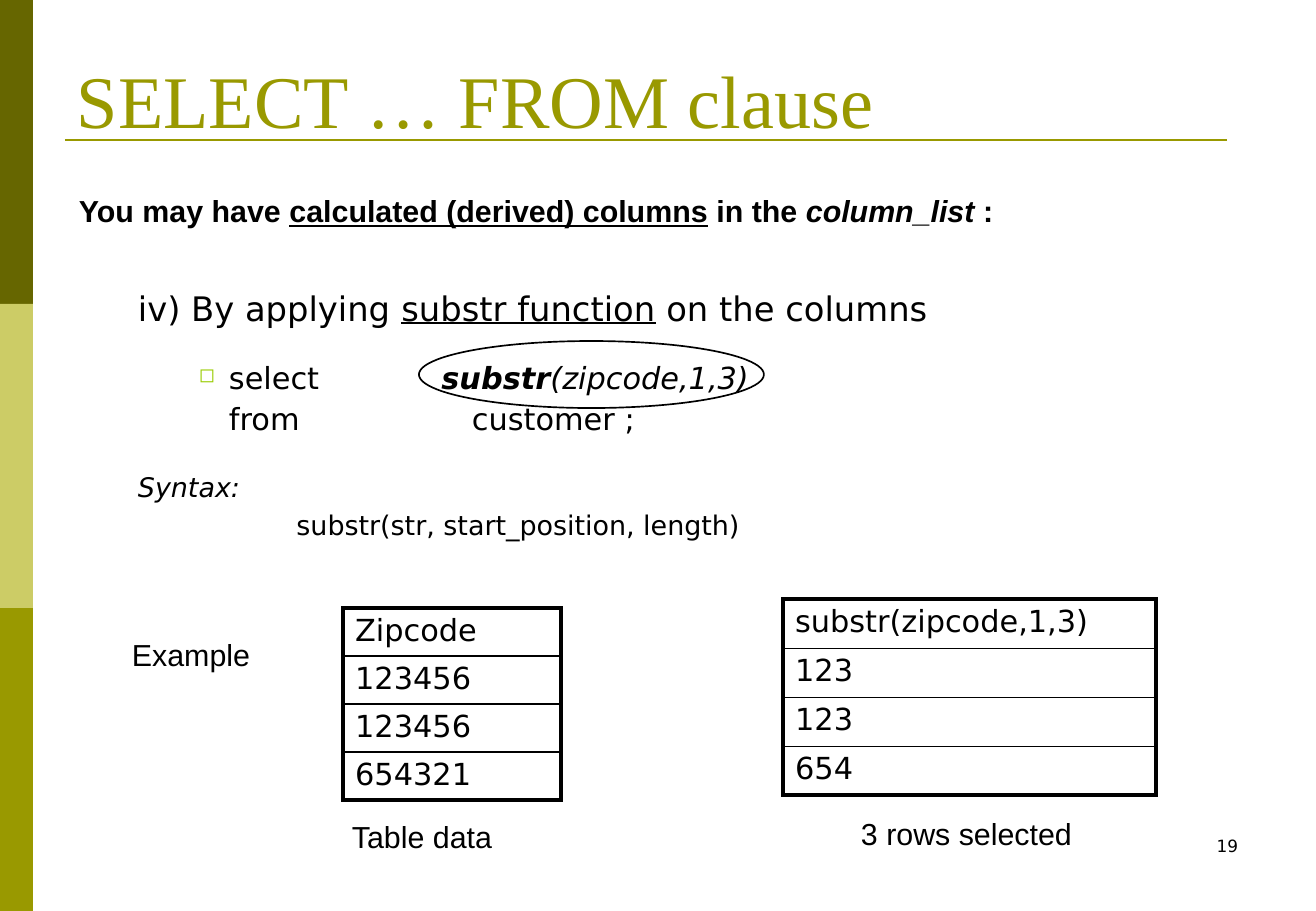
from lxml import etree
from pptx import Presentation
from pptx.dml.color import RGBColor
from pptx.enum.shapes import MSO_CONNECTOR, MSO_SHAPE
from pptx.enum.text import MSO_ANCHOR, PP_ALIGN
from pptx.oxml.ns import qn
from pptx.util import Pt

PX = 7526  # EMU in one px
LINE, RECT, OVAL = MSO_CONNECTOR.STRAIGHT, MSO_SHAPE.RECTANGLE, MSO_SHAPE.OVAL
TOP, BOTTOM = MSO_ANCHOR.TOP, MSO_ANCHOR.BOTTOM
LEFT, RIGHT = PP_ALIGN.LEFT, PP_ALIGN.RIGHT
SANS, ARIAL, SERIF = "DejaVu Sans", "Arial", "Times New Roman"
HEX = {"olive": "999900", "dark": "666600", "light": "CCCC66",
       "lime": "99CC00", "black": "000000"}

# Content
BANDS = ["dark", "light", "olive"]
TITLE = "SELECT … FROM clause"
INTRO = [("You may have ", "b"), ("calculated (derived) columns", "bu"),
         (" in the ", "b"), ("column_list", "bi"), (" :", "b")]
# runs, size, space before (pt), left margin, first indent, bullet
BODY = [
    ([("iv) By applying ", ""), ("substr function", "u"),
      (" on the columns", "")], 20, 0, 98, -37, ""),
    ([("select \t\t", ""), ("substr", "bi"), ("(zipcode,1,3)", "i")],
     18, 18, 152, -30, "◻"),
    ([("\tfrom \t\t\tcustomer ;", "")], 18, 3, 152, -30, ""),
    ([("Syntax:", "i")], 16, 20, 98, -37, ""),
    ([("\t\t\tsubstr(str, start_position, length)", "")], 16, 3, 98, -37, ""),
]
# left, top, width, row height, inner line (pt), values
TABLES = [
    (343, 608, 218, 48, 1, ["Zipcode", "123456", "123456", "654321"]),
    (783, 599, 373, 49, 0.25, ["substr(zipcode,1,3)", "123", "123", "654"]),
]
LABELS = [("Table data", 340, 812, 190), ("3 rows selected", 849, 809, 260),
          ("Example", 120, 630, 170)]

prs = Presentation()
prs.slide_width, prs.slide_height = 1316 * PX, 911 * PX
slide = prs.slides.add_slide(prs.slide_layouts[6])
shapes = slide.shapes


def rgb(name):
    return RGBColor.from_string(HEX[name])


def place(*box):
    return [n * PX for n in box]


def style(para, size, face, tint="black"):
    font = para.font
    font.size, font.name = Pt(size), face
    font.color.rgb = rgb(tint)


def write(para, runs):
    for words, marks in runs:
        run = para.add_run()
        run.text = words
        for mark, name in (("b", "bold"), ("i", "italic"), ("u", "underline")):
            if mark in marks:
                setattr(run.font, name, True)


def frame(box, anchor=TOP):
    text = shapes.add_textbox(*place(*box)).text_frame
    text.word_wrap, text.vertical_anchor = True, anchor
    return text


def label(box, runs, size, face, tint="black", anchor=TOP, align=LEFT):
    para = frame(box, anchor).paragraphs[0]
    para.alignment = align
    style(para, size, face, tint)
    write(para, runs)


def bullet(props, mark):
    if not mark:
        etree.SubElement(props, qn("a:buNone"))
        return
    tint = etree.SubElement(props, qn("a:buClr"))
    etree.SubElement(tint, qn("a:srgbClr"), val=HEX["lime"])
    etree.SubElement(props, qn("a:buSzPct"), val="65000")
    etree.SubElement(props, qn("a:buChar"), char=mark)


def border(cell, widths):
    props = cell._tc.get_or_add_tcPr()
    for side, width in zip("LRTB", widths):
        line = etree.SubElement(props, qn("a:ln" + side), w=str(Pt(width)))
        fill = etree.SubElement(line, qn("a:solidFill"))
        etree.SubElement(fill, qn("a:srgbClr"), val=HEX["black"])


# Side bands and title rule
for i, tint in enumerate(BANDS):
    band = shapes.add_shape(RECT, *place(0, i * 304, 33, 304))
    band.shadow.inherit = False
    band.fill.solid()
    band.fill.fore_color.rgb = rgb(tint)
    band.line.fill.background()
rule = shapes.add_connector(LINE, *place(65, 140, 1227, 140))
rule.line.color.rgb, rule.line.width = rgb("olive"), Pt(1.5)
etree.SubElement(rule._element.spPr, qn("a:effectLst"))

# Title, intro and page number
label((65, 34, 1185, 115), [(TITLE, "")], 44, SERIF, "olive", BOTTOM)
label((67, 186, 1121, 49), INTRO, 18, ARIAL)
label((943, 830, 307, 61), [("19", "")], 10, SANS, align=RIGHT)

# Body
text = frame((65, 282, 1225, 270))
for i, (runs, size, gap, left, indent, mark) in enumerate(BODY):
    para = text.add_paragraph() if i else text.paragraphs[0]
    para.space_before = Pt(gap)
    props = para._p.get_or_add_pPr()
    props.set("marL", str(left * PX))
    props.set("indent", str(indent * PX))
    bullet(props, mark)
    style(para, size, SANS)
    write(para, runs)

# Ring around the function call
ring = shapes.add_shape(OVAL, *place(419, 341, 345, 67))
ring.shadow.inherit = False
ring.fill.background()
ring.line.color.rgb, ring.line.width = rgb("black"), Pt(1)

# Tables
for left, top, width, high, inner, values in TABLES:
    count = len(values)
    grid = shapes.add_table(
        count, 1, *place(left, top, width, high * count)).table
    grid.first_row = grid.horz_banding = False
    for i, value in enumerate(values):
        cell = grid.cell(i, 0)
        cell.margin_top = cell.margin_bottom = 5 * PX
        border(cell, (2.25, 2.25, inner if i else 2.25,
                      inner if i < count - 1 else 2.25))
        cell.fill.background()
        para = cell.text_frame.paragraphs[0]
        style(para, 18, SANS)
        write(para, [(value, "")])

# Labels
for words, left, top, width in LABELS:
    label((left, top, width, 49), [(words, "")], 18, ARIAL)

prs.save("out.pptx")
